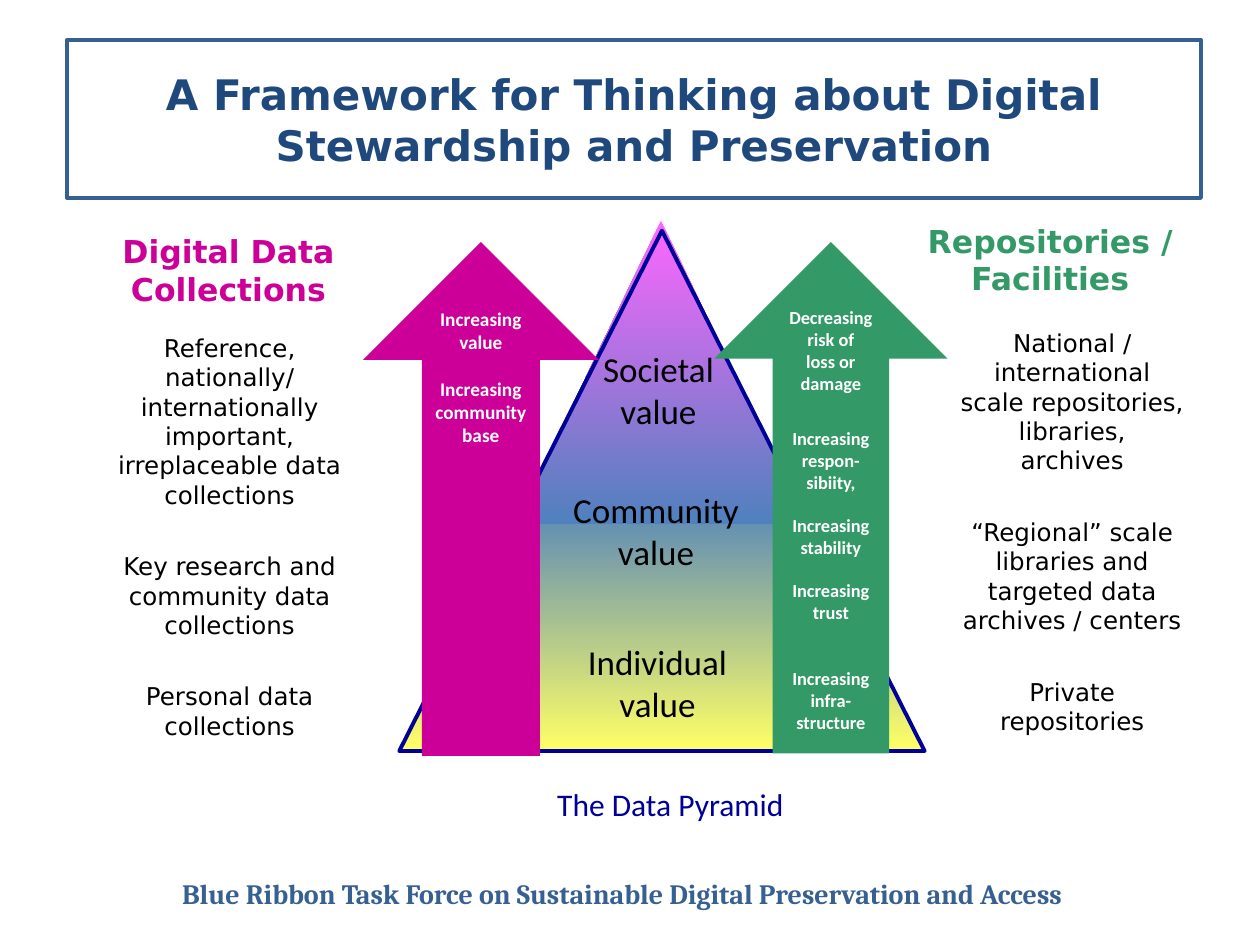
"""Build the digital stewardship framework slide."""
from copy import deepcopy
from dataclasses import dataclass

from lxml.etree import SubElement
from pptx import Presentation
from pptx.dml.color import RGBColor
from pptx.enum.shapes import MSO_SHAPE as Shape
from pptx.enum.text import MSO_ANCHOR as Anchor, MSO_AUTO_SIZE as AutoSize, PP_ALIGN as Align
from pptx.oxml.ns import qn
from pptx.util import Cm, Pt


@dataclass(frozen=True)
class Theme:
    title: str = "1F497D"
    frame: str = "376092"
    collections: str = "CC0099"
    repositories: str = "339966"
    outline: str = "000099"
    ink: str = "000000"
    paper: str = "FFFFFF"
    tip: str = "FF66FF"
    middle: str = "4F81BD"
    base: str = "FFFF66"
    title_size: float = 24
    level_size: float = 20
    heading_size: float = 18
    footer_size: float = 16
    list_size: float = 14
    value_size: float = 11
    risk_size: float = 10.5
    sans: str = "DejaVu Sans"
    label: str = "Calibri"
    serif: str = "Cambria"


THEME = Theme()


def lengths(box):
    return [Cm(value) for value in box]


def style(name, size, color, bold=False):
    return {"name": name, "size": Pt(size), "bold": bold}, RGBColor.from_string(color)


def apply(target, values):
    for name, value in values.items():
        setattr(target, name, value)


def write(frame, passages, look, gaps=(0,), indent=None, **frame_format):
    """Fill a frame with centred passages, each with its space before in points."""
    apply(frame, {"auto_size": AutoSize.NONE, "word_wrap": True} | frame_format)
    font_format, color = look
    for index, (passage, gap) in enumerate(zip(passages, gaps)):
        paragraph = frame.paragraphs[0] if index == 0 else frame.add_paragraph()
        if indent is not None:
            properties = paragraph._p.get_or_add_pPr()
            properties.set("marL", str(Cm(indent)))
            properties.set("indent", "0")
            SubElement(properties, qn("a:buNone"))
        paragraph.text = passage
        apply(paragraph, {"alignment": Align.CENTER, "space_before": Pt(gap)})
        for run in paragraph.runs:
            apply(run.font, font_format)
            run.font.color.rgb = color
        for line_break in paragraph._p.findall(qn("a:br")):
            line_break.append(deepcopy(paragraph.runs[0]._r.rPr))


def fill_placeholder(placeholder, box, passages, look, **text_format):
    apply(placeholder, dict(zip(("left", "top", "width", "height"), lengths(box))))
    write(placeholder.text_frame, passages, look, **text_format)


def add_label(shapes, box, text, look, **frame_format):
    write(shapes.add_textbox(*lengths(box)).text_frame, [text], look, **frame_format)


def add_plain_shape(shapes, kind, box):
    shape = shapes.add_shape(kind, *lengths(box))
    shape.shadow.inherit = False
    shape.fill.background()
    shape.line.fill.background()
    return shape


def outline(shape, color):
    shape.line.color.rgb = RGBColor.from_string(color)
    shape.line.width = Pt(2.25)


def shade(shape, colors):
    """Blend evenly spaced colours from top to bottom."""
    shape.fill.gradient()
    shape.fill.gradient_angle = 270
    stop_list = next(shape._element.iter(qn("a:gsLst")))
    for _ in colors[2:]:
        stop_list.append(deepcopy(stop_list[0]))
    for index, (stop, color) in enumerate(zip(shape.fill.gradient_stops, colors)):
        stop.color.rgb = RGBColor.from_string(color)
        stop.position = index / (len(colors) - 1)


def add_pyramid(shapes):
    body_box = (8.05, 4.65, 10.59, 10.49)
    group = shapes.add_group_shape().shapes
    shade(add_plain_shape(group, Shape.ISOSCELES_TRIANGLE, body_box),
          [THEME.base, THEME.middle, THEME.base])
    shade(add_plain_shape(group, Shape.ISOSCELES_TRIANGLE, (10.39, 4.45, 5.87, 6.12)),
          [THEME.tip, THEME.middle])
    level_look = style(THEME.label, THEME.level_size, THEME.ink)
    for level, left, top, width in (("Community", 11.28, 9.73, 3.89),
                                    ("Individual", 11.58, 12.78, 3.35),
                                    ("Societal", 11.89, 6.88, 2.77)):
        add_label(group, (left, top, width, 1.96), f"{level}\nvalue", level_look, word_wrap=False)
    outline(add_plain_shape(group, Shape.ISOSCELES_TRIANGLE, body_box), THEME.outline)
    add_label(group, (10.95, 15.7, 5.13, 1.02), "The Data Pyramid",
              style(THEME.label, THEME.heading_size, THEME.outline), word_wrap=False)


def add_arrow(shapes, box, color, size, passages, gaps):
    arrow = add_plain_shape(shapes, Shape.UP_ARROW, box)
    arrow.fill.solid()
    arrow.fill.fore_color.rgb = RGBColor.from_string(color)
    write(arrow.text_frame, passages, style(THEME.label, size, THEME.paper, True), gaps,
          word_wrap=False, vertical_anchor=Anchor.TOP)


def add_column(heading, listing, heading_box, list_box, color, title, passages):
    fill_placeholder(heading, heading_box, [title],
                     style(THEME.sans, THEME.heading_size, color, True),
                     indent=0, vertical_anchor=Anchor.BOTTOM)
    fill_placeholder(listing, list_box, passages,
                     style(THEME.sans, THEME.list_size, THEME.ink),
                     gaps=(0, 24, 24), indent=0.97, vertical_anchor=Anchor.TOP)


def main():
    deck = Presentation()
    apply(deck, {"slide_width": Cm(25.4), "slide_height": Cm(19.05)})
    slide = deck.slides.add_slide(deck.slide_layouts.get_by_name("Comparison"))
    shapes = slide.shapes
    title, left_heading, left_list, right_heading, right_list = list(slide.placeholders)[:5]

    add_label(shapes, (1.04, 17.53, 23.01, 0.94),
              "Blue Ribbon Task Force on Sustainable Digital Preservation and Access",
              style(THEME.serif, THEME.footer_size, THEME.frame, True),
              vertical_anchor=Anchor.MIDDLE)
    fill_placeholder(title, (1.35, 0.81, 22.86, 3.18),
                     ["A Framework for Thinking about Digital Stewardship and Preservation"],
                     style(THEME.sans, THEME.title_size, THEME.title, True),
                     vertical_anchor=Anchor.MIDDLE)
    outline(title, THEME.frame)
    add_column(left_heading, left_list, (1.85, 4.55, 5.51, 1.78), (0.64, 6.58, 7.01, 9.42),
               THEME.collections, "Digital Data Collections",
               ["Reference,\nnationally/ internationally important, irreplaceable data collections",
                "Key research and community data collections",
                "Personal data collections"])
    add_column(right_heading, right_list, (17.78, 4.34, 6.78, 1.78), (17.88, 6.48, 6.5, 9.42),
               THEME.repositories, "Repositories / Facilities",
               ["National / international\nscale repositories, libraries,\narchives",
                "“Regional” scale libraries and targeted data archives / centers",
                "Private\nrepositories"])
    add_pyramid(shapes)
    add_arrow(shapes, (7.32, 4.88, 4.75, 10.36), THEME.collections, THEME.value_size,
              ["Increasing\nvalue", "Increasing\ncommunity\nbase"], (0, 13.4))
    add_arrow(shapes, (14.4, 4.88, 4.7, 10.31), THEME.repositories, THEME.risk_size,
              ["Decreasing\nrisk of\nloss or\ndamage", "Increasing\nrespon-\nsibiity,",
               "Increasing\nstability", "Increasing\ntrust", "Increasing\ninfra-\nstructure"],
              (0, 18.8, 12, 12, 24.8))
    deck.save("out.pptx")


if __name__ == "__main__":
    main()
